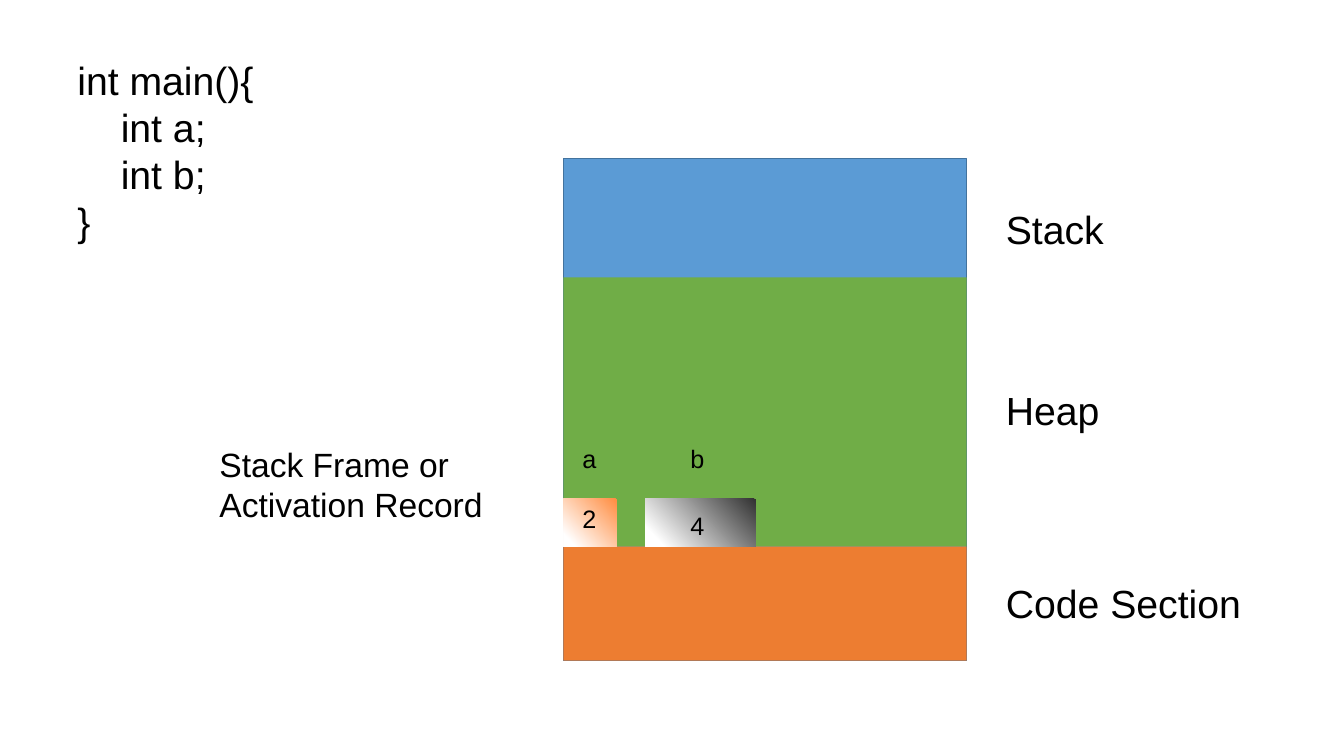
import pptx
import pptx.dml.color
import pptx.enum.shapes
import pptx.enum.text
import pptx.util
from dataclasses import dataclass
from pptx.util import Cm

COLORS = {
    "stack": "5B9BD5", "outline": "43739E", "heap": "70AD47", "code": "ED7D31",
    "cell a": "FF8D41", "cell b": "323232", "fade": "FFFFFF", "text": "000000",
}
FONT = "Arial"
MEMORY_LEFT, MEMORY_WIDTH = 14.2, 10.16
CODE_TOP = 13.77
CELL_HEIGHT = 1.2


@dataclass
class Region:
    color: str
    top: float
    height: float
    label: str
    label_top: float
    outline: str = ""


@dataclass
class Variable:
    name: str
    value: str
    color: str
    left: float
    width: float
    text_left: float
    value_top: float


# The stack block spans the whole memory and lies behind the other two
REGIONS = [
    Region("stack", 3.99, 12.65, "Stack", 5.05, "outline"),
    Region("code", CODE_TOP, 2.88, "Code Section", 14.48),
    Region("heap", 6.99, CODE_TOP - 6.99, "Heap", 9.6),
]
VARIABLES = [
    Variable("a", "2", "cell a", MEMORY_LEFT, 1.35, 14.43, 12.57),
    Variable("b", "4", "cell b", 16.26, 2.79, 17.15, 12.73),
]


def rgb(name: str) -> pptx.dml.color.RGBColor:
    return pptx.dml.color.RGBColor.from_string(COLORS[name])


def add_rect(s, left: float, top: float, width: float, height: float):
    sp = s.shapes.add_shape(pptx.enum.shapes.MSO_SHAPE.RECTANGLE,
                            Cm(left), Cm(top), Cm(width), Cm(height))
    sp.shadow.inherit = False
    sp.line.fill.background()
    return sp


def add_text(s, text: str, left: float, top: float, width: float,
             height: float, size: int, wrap: bool = True) -> None:
    sp = s.shapes.add_textbox(Cm(left), Cm(top), Cm(width), Cm(height))
    tf = sp.text_frame
    tf.text = text
    tf.word_wrap = wrap
    tf.auto_size = pptx.enum.text.MSO_AUTO_SIZE.SHAPE_TO_FIT_TEXT
    for p in tf.paragraphs:
        for r in p.runs:
            r.font.name = FONT
            r.font.size = pptx.util.Pt(size)
            r.font.color.rgb = rgb("text")


def add_region(s, region: Region) -> None:
    sp = add_rect(s, MEMORY_LEFT, region.top, MEMORY_WIDTH, region.height)
    sp.fill.solid()
    sp.fill.fore_color.rgb = rgb(region.color)
    if region.outline:
        sp.line.color.rgb = rgb(region.outline)
        sp.line.width = pptx.util.Pt(1)


def add_cell(s, var: Variable) -> None:
    sp = add_rect(s, var.left, CODE_TOP - CELL_HEIGHT, var.width, CELL_HEIGHT)
    sp.fill.gradient()
    sp.fill.gradient_angle = 223
    stops = [(0, var.color), (0.88, "fade")]
    for stop, (position, color) in zip(sp.fill.gradient_stops, stops):
        stop.position = position
        stop.color.rgb = rgb(color)


def main() -> None:
    prs = pptx.Presentation()
    prs.slide_width, prs.slide_height = Cm(33.87), Cm(19.05)
    s = prs.slides.add_slide(prs.slide_layouts[6])

    # Memory regions and their labels
    for region in REGIONS:
        add_region(s, region)
    for region in REGIONS:
        add_text(s, region.label, 25.1, region.label_top, 7.57, 1.45, 28)

    # Program and stack frame caption
    add_text(s, "int main(){\n    int a;\n    int b;\n}", 1.7, 1.3, 7.72, 5.03, 28)
    add_text(s, "Stack Frame or Activation Record", 5.28, 11.05, 8.92, 2.31, 24)

    # Variables in the stack frame
    for var in VARIABLES:
        add_cell(s, var)
        add_text(s, var.value, var.text_left, var.value_top, 0.86, 1.02, 18, False)
        add_text(s, var.name, var.text_left, 11.05, 0.86, 1.02, 18, False)

    prs.save("out.pptx")


if __name__ == "__main__":
    main()
